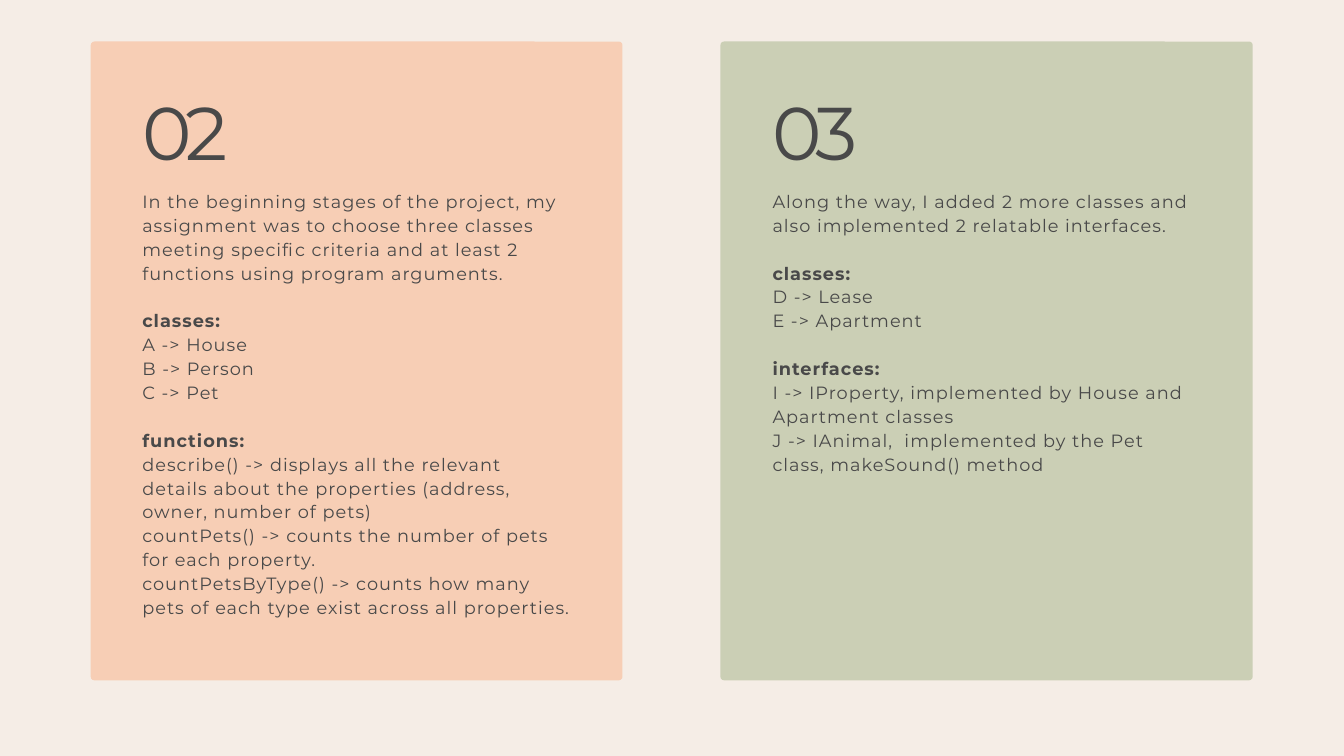
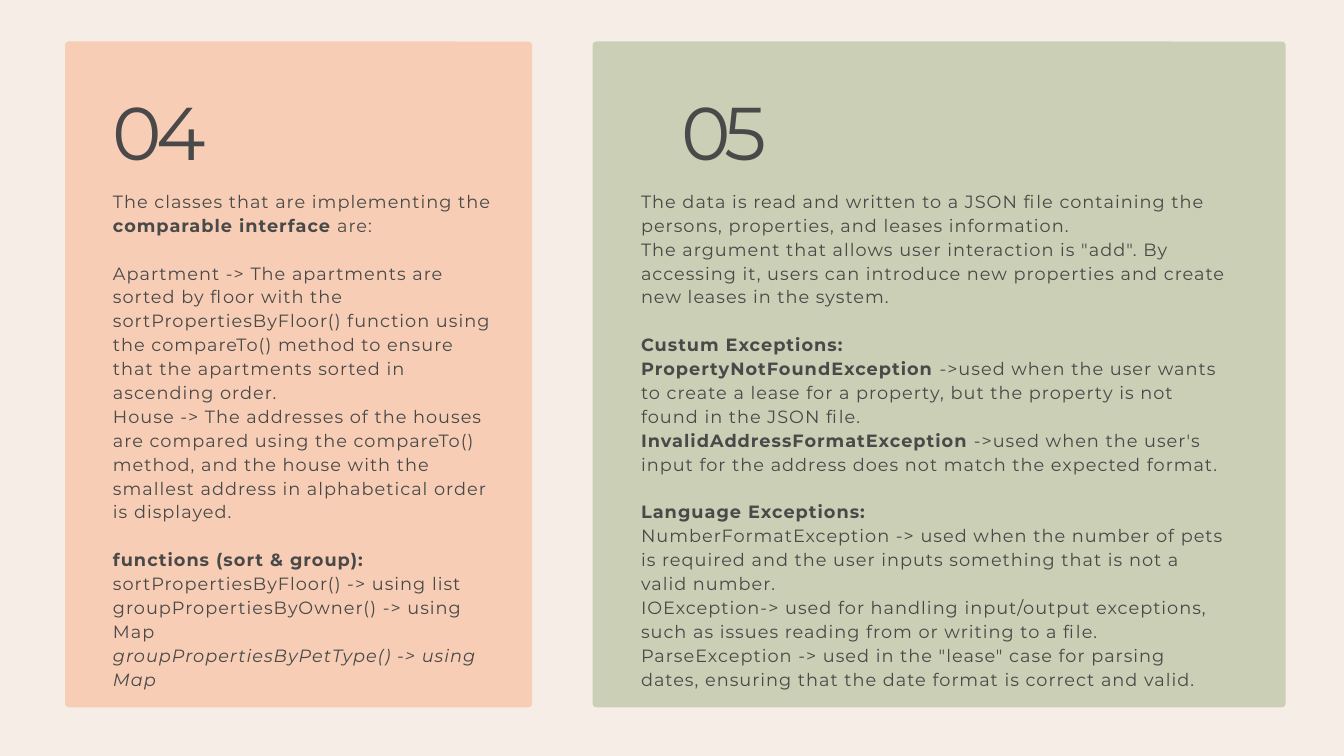
from dataclasses import dataclass

from pptx import Presentation
from pptx.dml.color import RGBColor
from pptx.enum.shapes import MSO_SHAPE as Shape
from pptx.enum.text import MSO_AUTO_SIZE as AutoSize
from pptx.util import Cm, Pt

CREAM = RGBColor(0xF5, 0xED, 0xE6)
PEACH = RGBColor(0xF7, 0xCE, 0xB5)
SAGE = RGBColor(0xCB, 0xCF, 0xB5)
CHARCOAL = RGBColor(0x49, 0x49, 0x49)
FONT = "Montserrat"
BOLD_MARK, ITALIC_MARK = "*", "_"

CARD_TOP, CORNER = 1.57, 0.14
NUMBER_DROP, NUMBER_WIDTH, NUMBER_HEIGHT = 2.34, 4.39, 2.84
BODY_DROP = 5.54
BODY_LEADING, NUMBER_LEADING = Pt(25.6), Pt(76.8)


@dataclass
class Card:
    number: str
    color: RGBColor
    left: float
    width: float
    pad: float
    body_width: float
    body_height: float
    sections: list
    number_indent: float = 0


STAGES = [
    Card("02", PEACH, 3.43, 20.1, 1.95, 16.18, 17.07, [
        ["In the beginning stages of the project, my assignment was to choose three classes "
         "meeting specific criteria and at least 2 functions using program arguments."],
        ["*classes:*", "A -> House", "B -> Person", "C -> Pet"],
        ["*functions:*",
         "describe() -> displays all the relevant details about the properties "
         "(address, owner, number of pets)",
         "countPets() -> counts the number of pets for each property.",
         "countPetsByType() -> counts how many pets of each type exist across all properties."],
    ]),
    Card("03", SAGE, 27.23, 20.12, 1.97, 16.18, 12.57, [
        ["Along the way, I added 2 more classes and also implemented 2 relatable interfaces."],
        ["*classes:*", "D -> Lease", "E -> Apartment"],
        ["*interfaces:*",
         "I -> IProperty, implemented by House and Apartment classes",
         "J -> IAnimal,  implemented by the Pet class, makeSound() method"],
    ]),
]

DETAILS = [
    Card("04", PEACH, 2.46, 17.65, 1.81, 14.6, 19.76, [
        ["The classes that are implementing the *comparable interface* are:"],
        ["Apartment -> The apartments are sorted by floor with the sortPropertiesByFloor() "
         "function using the compareTo() method to ensure that the apartments sorted in "
         "ascending order.",
         "House -> The addresses of the houses are compared using the compareTo() method, "
         "and the house with the smallest address in alphabetical order is displayed."],
        ["*functions (sort & group):*",
         "sortPropertiesByFloor() -> using list",
         "groupPropertiesByOwner() -> using Map",
         "_groupPropertiesByPetType() -> using Map"],
    ]),
    Card("05", SAGE, 22.4, 26.19, 1.83, 22.17, 18.87, [
        ["The data is read and written to a JSON file containing the persons, properties, "
         "and leases information.",
         'The argument that allows user interaction is "add". By accessing it, users can '
         "introduce new properties and create new leases in the system."],
        ["*Custum Exceptions:*",
         "*PropertyNotFoundException *->used when the user wants to create a lease for a "
         "property, but the property is not found in the JSON file.",
         "*InvalidAddressFormatException* ->used when the user's input for the address does "
         "not match the expected format."],
        ["*Language Exceptions:*",
         "NumberFormatException -> used when the number of pets is required and the user "
         "inputs something that is not a valid number.",
         "IOException-> used for handling input/output exceptions, such as issues reading "
         "from or writing to a file.",
         'ParseException -> used in the "lease" case for parsing dates, ensuring that the '
         "date format is correct and valid."],
    ], number_indent=1.53),
]


def add_text_frame(s, left, top, width, height):
    tf = s.shapes.add_textbox(Cm(left), Cm(top), Cm(width), Cm(height)).text_frame
    tf.margin_left = tf.margin_top = tf.margin_right = tf.margin_bottom = 0
    tf.word_wrap = True
    tf.auto_size = AutoSize.SHAPE_TO_FIT_TEXT
    return tf


def style_run(r, size, tracking):
    r.font.name = FONT
    r.font.size = Pt(size)
    r.font.color.rgb = CHARCOAL
    r._r.get_or_add_rPr().set("spc", str(tracking))


def add_panel(s, left, top, width, height, color):
    sp = s.shapes.add_shape(Shape.ROUNDED_RECTANGLE, Cm(left), Cm(top), Cm(width), Cm(height))
    sp.adjustments[0] = CORNER / min(width, height)
    sp.shadow.inherit = False
    sp.fill.solid()
    sp.fill.fore_color.rgb = color
    sp.line.fill.background()


def add_number(s, left, top, number):
    tf = add_text_frame(s, left, top, NUMBER_WIDTH, NUMBER_HEIGHT)
    tf.text = number
    p = tf.paragraphs[0]
    p.line_spacing = NUMBER_LEADING
    style_run(p.runs[0], 80, -660)


def fill_paragraph(p, text):
    italic = text.startswith(ITALIC_MARK)
    for i, part in enumerate(text.removeprefix(ITALIC_MARK).split(BOLD_MARK)):
        if part:
            r = p.add_run()
            r.text = part
            style_run(r, 19, 110)
            r.font.bold = i % 2 == 1
            r.font.italic = italic


def add_body(s, left, top, width, height, sections):
    tf = add_text_frame(s, left, top, width, height)
    p = tf.paragraphs[0]
    for i, section in enumerate(sections):
        for j, text in enumerate(section):
            if i or j:
                p = tf.add_paragraph()
            p.line_spacing = BODY_LEADING
            if i and not j:
                p.space_before = BODY_LEADING
            fill_paragraph(p, text)


def add_card(s, card, top, height):
    text_left = card.left + card.pad
    add_panel(s, card.left, top, card.width, height, card.color)
    add_number(s, text_left + card.number_indent, top + NUMBER_DROP, card.number)
    add_body(s, text_left, top + BODY_DROP, card.body_width, card.body_height, card.sections)


def add_card_slide(prs, cards, height):
    s = prs.slides.add_slide(prs.slide_layouts[6])
    s.background.fill.solid()
    s.background.fill.fore_color.rgb = CREAM
    for card in cards:
        add_card(s, card, CARD_TOP, height)


def main():
    prs = Presentation()
    prs.slide_width, prs.slide_height = Cm(50.8), Cm(28.58)
    add_card_slide(prs, STAGES, 24.15)
    add_card_slide(prs, DETAILS, 25.17)
    prs.save("out.pptx")


if __name__ == "__main__":
    main()
